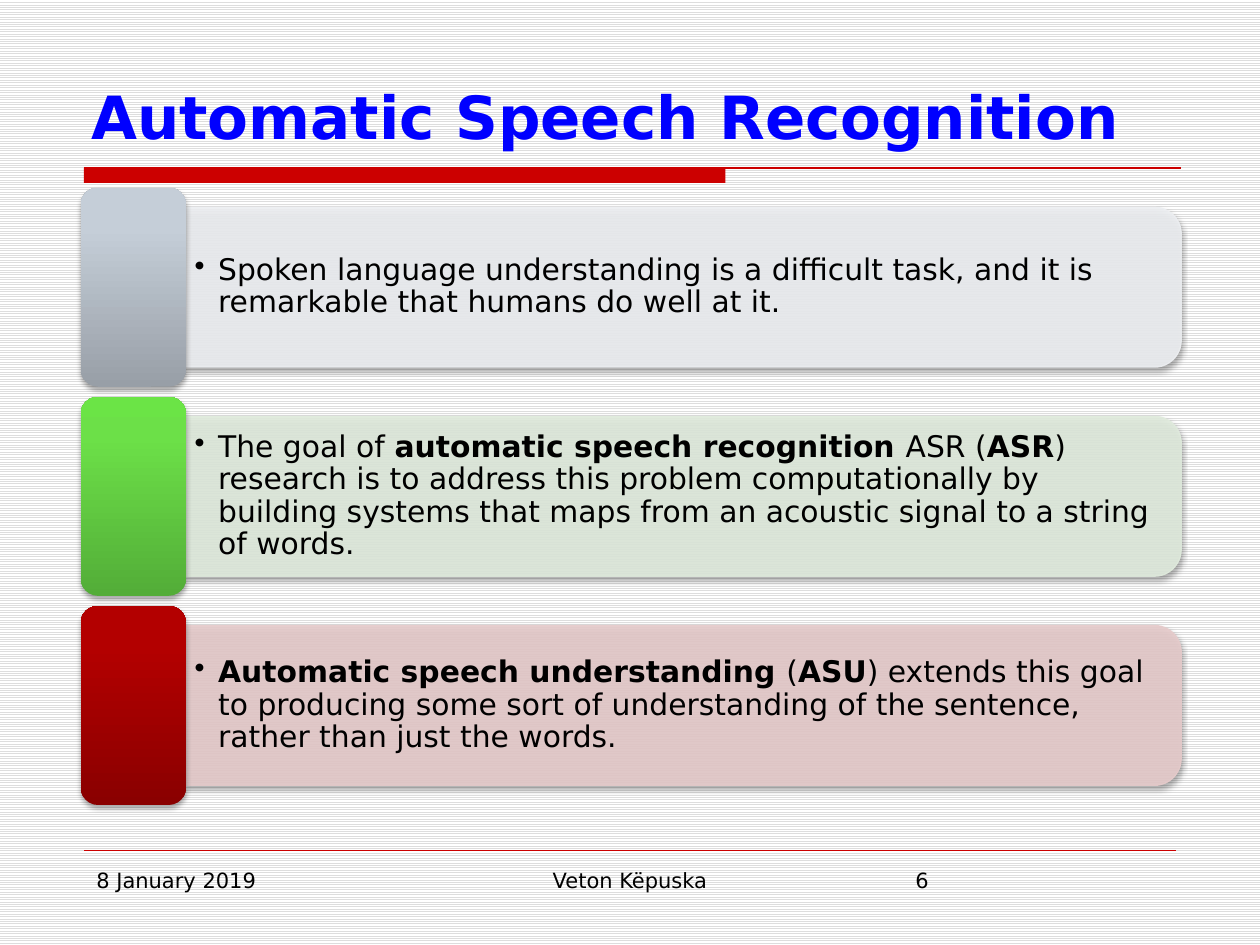
from lxml.etree import SubElement
from copy import deepcopy
from pptx import Presentation
from pptx.dml.color import RGBColor
from pptx.enum.dml import MSO_PATTERN
from pptx.enum.shapes import MSO_CONNECTOR, MSO_SHAPE as SHAPE
from pptx.enum.text import MSO_ANCHOR as ANCHOR, PP_ALIGN as ALIGN
from pptx.oxml import parse_xml
from pptx.oxml.ns import nsdecls, qn
from pptx.util import Pt

BLACK = RGBColor(0x00, 0x00, 0x00)
WHITE = RGBColor(0xFF, 0xFF, 0xFF)
STRIPE = RGBColor(0xDD, 0xDD, 0xDD)
BLUE = RGBColor(0x00, 0x00, 0xFF)
RED = RGBColor(0xCC, 0x00, 0x00)
GREY_CARD = RGBColor(0xED, 0xEF, 0xF2)
GREEN_CARD = RGBColor(0xE0, 0xEB, 0xDD)
RED_CARD = RGBColor(0xE6, 0xCB, 0xCB)
GREY_TAB = [RGBColor(0x98, 0x9F, 0xA7), RGBColor(0xC5, 0xCE, 0xD8), RGBColor(0xC6, 0xCF, 0xDA)]
GREEN_TAB = [RGBColor(0x53, 0xAD, 0x38), RGBColor(0x6C, 0xE0, 0x48), RGBColor(0x6B, 0xE4, 0x46)]
RED_TAB = [RGBColor(0x8A, 0x00, 0x00), RGBColor(0xB3, 0x00, 0x00), RGBColor(0xB4, 0x00, 0x00)]
FONT = "DejaVu Sans"
STOPS = [0, 0.8, 1]

SHADOW = (
    f'<a:effectLst {nsdecls("a")}><a:outerShdw blurRad="39400" dist="22900" '
    'dir="5400000" rotWithShape="0"><a:srgbClr val="000000">'
    '<a:alpha val="35000"/></a:srgbClr></a:outerShdw></a:effectLst>'
)

# Each row: card colour, tab gradient, text runs as (text, bold)
ROWS = [
    (GREY_CARD, GREY_TAB, [
        ("Spoken language understanding is a difficult task, and it is "
         "remarkable that humans do well at it. ", False)]),
    (GREEN_CARD, GREEN_TAB, [
        ("The goal of ", False),
        ("automatic speech recognition ", True),
        ("ASR (", False),
        ("ASR", True),
        (") research is to address this problem computationally by building systems "
         "that maps from an acoustic signal to a string of words. ", False)]),
    (RED_CARD, RED_TAB, [
        ("Automatic speech understanding ", True),
        ("(", False),
        ("ASU", True),
        (") extends this goal to producing some sort of understanding of the "
         "sentence, rather than just the words.", False)]),
]
TAB_LEFT, TAB_TOP, TAB_WIDTH, TAB_HEIGHT = 46, 107.2, 60.4, 113.8
ROW_STEP = 119.5
CARD_LEFT, CARD_LENGTH, CARD_HEIGHT = 106.2, 568.8, 91.3
TEXT_WIDTH, TEXT_HEIGHT = 564.5, 82

deck = Presentation()
deck.slide_width, deck.slide_height = Pt(720), Pt(540)
page = deck.slides.add_slide(deck.slide_layouts[6])
backdrop = page.background.fill
backdrop.patterned()
backdrop.pattern = MSO_PATTERN.LIGHT_HORIZONTAL
backdrop.fore_color.rgb = STRIPE
backdrop.back_color.rgb = WHITE


def add_text(left, top, width, height, spans, size, color=BLACK, anchor=ANCHOR.TOP):
    """Add a wrapped text box of (text, bold) spans and return it."""
    box = page.shapes.add_textbox(Pt(left), Pt(top), Pt(width), Pt(height))
    frame = box.text_frame
    frame.word_wrap = True
    frame.vertical_anchor = anchor
    for text, bold in spans:
        span = frame.paragraphs[0].add_run()
        span.text = text
        span.font.name, span.font.size, span.font.bold = FONT, Pt(size), bold
        span.font.color.rgb = color
    return box


# Title rule and footer rule
band = page.shapes.add_shape(SHAPE.RECTANGLE, Pt(48), Pt(96), Pt(366.5), Pt(8.6))
band.shadow.inherit = False
band.fill.solid()
band.fill.fore_color.rgb = RED
band.line.fill.background()
for y, right, weight in [(96, 674.6, 0.75), (486, 672, 0.25)]:
    rule = page.shapes.add_connector(MSO_CONNECTOR.STRAIGHT, Pt(48), Pt(y), Pt(right), Pt(y))
    rule.line.color.rgb = RED
    rule.line.width = Pt(weight)
    SubElement(rule._element.spPr, qn("a:effectLst"))

# Footer and title
for text, left, width, align in [
    ("8 January 2019", 48, 156, ALIGN.LEFT),
    ("Veton Këpuska", 246, 228, ALIGN.CENTER),
    ("6", 516, 156, ALIGN.LEFT),
]:
    footer = add_text(left, 492, width, 37.5, [(text, False)], 12)
    footer.text_frame.paragraphs[0].alignment = align
add_text(45, 24, 630, 66, [("Automatic Speech Recognition", True)], 34, BLUE, ANCHOR.BOTTOM)

# Rows: a turned card, its bullet and a gradient tab
for index, (card_color, tab_colors, spans) in enumerate(ROWS):
    tab_top = TAB_TOP + index * ROW_STEP
    middle = tab_top + TAB_HEIGHT / 2

    card = page.shapes.add_shape(
        SHAPE.ROUND_2_SAME_RECTANGLE,
        Pt(CARD_LEFT + (CARD_LENGTH - CARD_HEIGHT) / 2), Pt(middle - CARD_LENGTH / 2),
        Pt(CARD_HEIGHT), Pt(CARD_LENGTH))
    card.rotation = 90
    card.fill.solid()
    card.fill.fore_color.rgb = card_color
    card.line.color.rgb = card_color
    card.line.width = Pt(0.75)
    for color in card._element.spPr.iter(qn("a:srgbClr")):
        SubElement(color, qn("a:alpha")).set("val", "90000")
    card._element.spPr.append(parse_xml(SHADOW))

    box = add_text(CARD_LEFT, middle - TEXT_HEIGHT / 2, TEXT_WIDTH, TEXT_HEIGHT,
                   spans, 17, anchor=ANCHOR.MIDDLE)
    frame = box.text_frame
    frame.margin_left = frame.margin_right = Pt(5)
    frame.margin_top = frame.margin_bottom = Pt(2.9)
    para = frame.paragraphs[0]
    para.line_spacing = 0.9
    properties = para._p.get_or_add_pPr()
    properties.set("marL", str(Pt(13.5)))
    properties.set("indent", str(-Pt(13.5)))
    SubElement(properties, qn("a:buChar")).set("char", "•")

    tab = page.shapes.add_shape(SHAPE.ROUNDED_RECTANGLE, Pt(TAB_LEFT), Pt(tab_top),
                                Pt(TAB_WIDTH), Pt(TAB_HEIGHT))
    tab.fill.gradient()
    tab.fill.gradient_angle = 90
    stop_list = tab._element.spPr.find(qn("a:gradFill")).find(qn("a:gsLst"))
    stop_list.append(deepcopy(stop_list[-1]))
    for stop, position, color in zip(tab.fill.gradient_stops, STOPS, tab_colors):
        stop.position = position
        stop.color.rgb = color
    tab.line.fill.background()
    tab._element.spPr.append(parse_xml(SHADOW))

deck.save("out.pptx")
